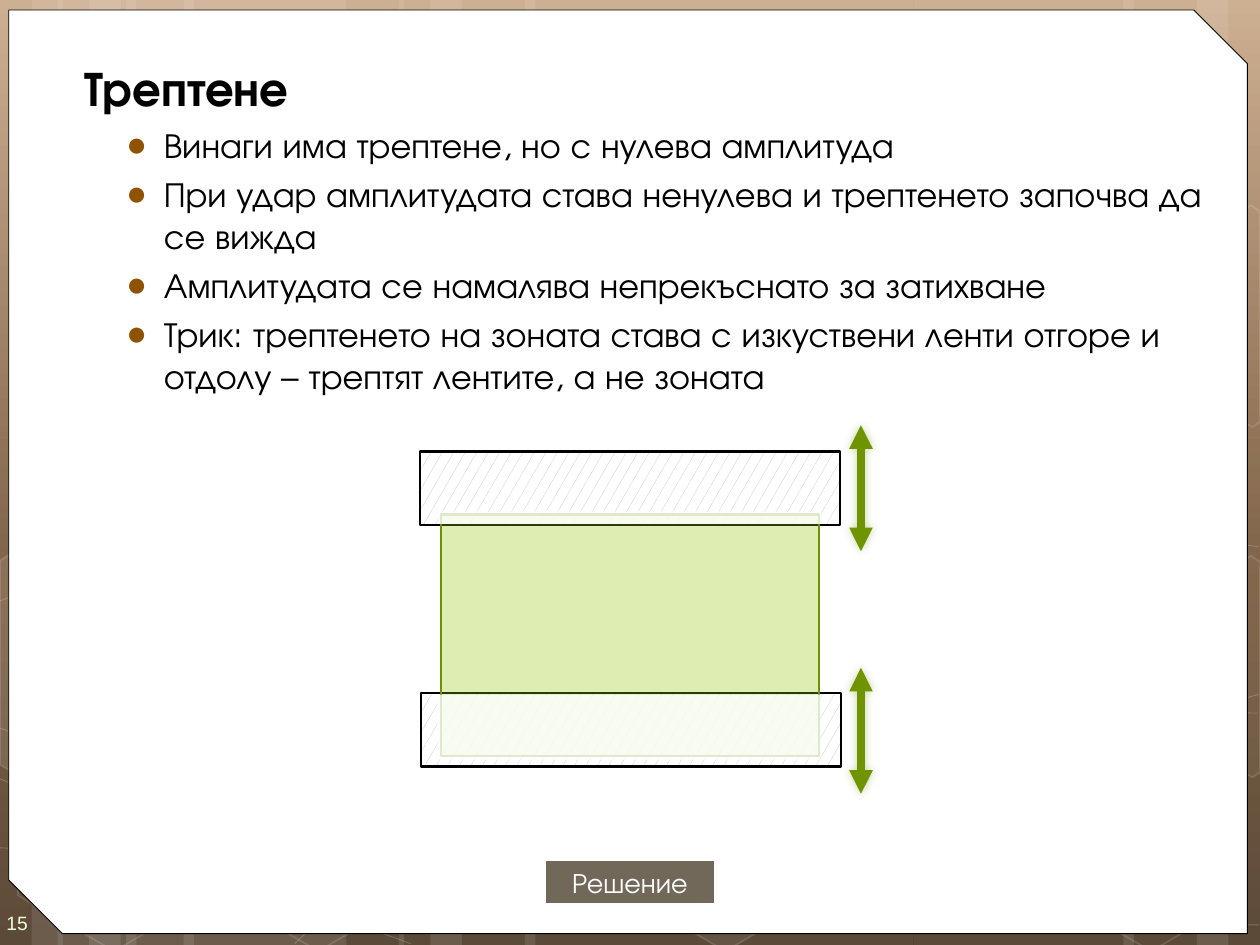
from copy import deepcopy

from lxml.etree import SubElement
from pptx import Presentation
from pptx.dml.color import RGBColor
from pptx.enum.dml import MSO_PATTERN
from pptx.enum.shapes import MSO_CONNECTOR, MSO_SHAPE
from pptx.enum.text import MSO_ANCHOR, PP_ALIGN
from pptx.oxml.ns import qn
from pptx.util import Inches, Pt

FONT = "TeX Gyre Adventor"
GREEN = "6F9400"

presentation = Presentation()
presentation.slide_width, presentation.slide_height = Inches(10), Inches(7.5)
slide = presentation.slides.add_slide(presentation.slide_layouts[1])
shapes = slide.shapes
# The slide is a grid of 120 columns by 90 rows of square cells
CELL = presentation.slide_width / 120


def set_color(color_format, color, opacity=100):
    color_format.rgb = RGBColor.from_string(color)
    if opacity < 100:
        SubElement(color_format._color._xClr, qn("a:alpha"), val=str(opacity * 1000))


def paint(shape, fill=None, opacity=100, line=None, width=1, line_opacity=100):
    """Set a plain fill and outline, either of which may be None."""
    shape.shadow.inherit = False
    if fill:
        shape.fill.solid()
        set_color(shape.fill.fore_color, fill, opacity)
    else:
        shape.fill.background()
    if line:
        set_color(shape.line.color, line, line_opacity)
        shape.line.width = Pt(width)
    else:
        shape.line.fill.background()


# Background gradient
background = slide.background.fill
background.gradient()
background.gradient_angle = 270
stop_list = slide.element.find(".//" + qn("a:gsLst"))
stop_list.append(deepcopy(stop_list[-1]))
for stop, (position, color) in zip(background.gradient_stops,
                                   [(0, "C8A685"), (0.62, "705032"), (1, "4A3622")]):
    stop.position = position
    set_color(stop.color, color)

# Pale vertical stripes: left column, width in columns
for column, width in [(12, 21), (0, 6), (3, 10), (17.5, 21), (5.5, 6), (8.5, 10),
                      (87, 21), (114, 6), (107, 10), (50, 37), (38, 6), (41, 10)]:
    stripe = shapes.add_shape(MSO_SHAPE.RECTANGLE, int(column * CELL), 0,
                              int(width * CELL), presentation.slide_height)
    paint(stripe, "FFFFFF", 10)

# Thin lines and cut hexagons at the slide's edges: points in inches, closed, fill opacity
outlines = [
    ([(0, 6.73), (1.82, 6.78), (4.5, 6.65), (7.83, 6.17), (9.99, 5.51)], False, 0),
    ([(0, 4.77), (1.13, 4.31), (3.39, 3.87), (6.46, 3.87), (9.99, 4.34)], False, 0),
    ([(0, 6.18), (1.6, 6.88), (3.26, 7.49)], False, 0),
    ([(0, 5.78), (1.2, 6.16), (3.48, 6.73), (6.2, 7.18), (8.44, 7.36), (9.99, 7.34)], False, 0),
    ([(2.34, 7.49), (2.94, 6.91), (3.79, 6.39), (6, 5.78), (7.86, 5.62), (9.98, 5.66)], False, 0),
    ([(0, 4.45), (0.11, 4.38), (0.87, 4.82), (0.87, 5.7), (0.12, 6.14), (0, 6.07)], True, 10),
    ([(9.18, 4.85), (9.93, 4.41), (10, 4.46), (10, 6.13), (9.94, 6.17), (9.17, 5.73)], True, 4),
    ([(9.18, 2.07), (9.93, 1.63), (10, 1.68), (10, 3.35), (9.94, 3.39), (9.17, 2.95)], True, 0),
]
for points, closed, opacity in outlines:
    start, *others = [(Inches(x), Inches(y)) for x, y in points]
    builder = shapes.build_freeform(*start)
    builder.add_line_segments(others, close=closed)
    paint(builder.convert_to_shape(), "FFFFFF" if opacity else None, opacity,
          "FFFFFF", 1 if closed else 0.5, 12 if closed else 20)

# Hexagons along the bottom edge
for left, opacity in [(0.03, 0), (1.65, 0), (4.88, 6), (8.26, 0)]:
    hexagon = shapes.add_shape(MSO_SHAPE.HEXAGON, Inches(left), Inches(5.91),
                               Inches(1.75), Inches(1.52))
    hexagon.adjustments[0] = 0.285
    hexagon.rotation = 30
    paint(hexagon, "FFFFFF" if opacity else None, opacity, "FFFFFF", 1, 12)

# White sheet with two cut corners
sheet = shapes.add_shape(MSO_SHAPE.SNIP_2_DIAG_RECTANGLE, Inches(0.07), Inches(0.08),
                         Inches(9.83), Inches(7.33))
sheet.adjustments[0], sheet.adjustments[1] = 0, 0.058
paint(sheet, "FFFFFF", line="000000", width=0.5)

# Slide number
number = shapes.add_textbox(0, Inches(7.1), Inches(0.58), Inches(0.4)).text_frame
number.margin_left, number.margin_right = Inches(0.05), 0
number.margin_top, number.margin_bottom = Inches(0.15), Inches(0.1)
number.vertical_anchor = MSO_ANCHOR.MIDDLE
paragraph = number.paragraphs[0]
paragraph.text = "15"
paragraph.font.size, paragraph.font.name = Pt(11), "Arial"
set_color(paragraph.font.color, "EEFFD6")

# Striped bands above and below the zone
for column, row in [(40, 43), (40.1, 66)]:
    band = shapes.add_shape(MSO_SHAPE.RECTANGLE, int(column * CELL), int(row * CELL),
                            int(40 * CELL), int(7 * CELL))
    paint(band, line="000000", width=1.25)
    band.fill.patterned()
    band.fill.pattern = MSO_PATTERN.SMALL_CONFETTI
    set_color(band.fill.fore_color, "BFBFBF")
    set_color(band.fill.back_color, "FFFFFF")

# Heading and bullets share the body placeholder
title = shapes.title._element
title.getparent().remove(title)
body = slide.placeholders[1]
shapes._spTree.append(body._element)
body.left, body.top, body.width, body.height = map(Inches, (0.5, 0.41, 9.42, 7.01))
body.text_frame.vertical_anchor = MSO_ANCHOR.TOP
lines = [
    "Трептене",
    "Винаги има трептене, но с нулева амплитуда",
    "При удар амплитудата става ненулева и трептенето започва да се вижда",
    "Амплитудата се намалява непрекъснато за затихване",
    "Трик: трептенето на зоната става с изкуствени ленти отгоре и отдолу – трептят лентите, а не зоната",
]
body.text_frame.text = "\n".join(lines)
for index, paragraph in enumerate(body.text_frame.paragraphs):
    is_heading = index == 0
    size = 28 if is_heading else 20
    paragraph.level = 0 if is_heading else 1
    paragraph.space_before = Pt(size * 0.2)
    paragraph.font.name, paragraph.font.size = FONT, Pt(size)
    paragraph.font.bold = is_heading
    set_color(paragraph.font.color, "000000")
    properties = paragraph._p.get_or_add_pPr()
    properties.set("marL", str(Inches(0.07 if is_heading else 0.7)))
    properties.set("indent", str(Inches(0 if is_heading else -0.3)))
    # Bullet elements go before the paragraph's default run properties
    bullets = []
    if is_heading:
        bullets.append(SubElement(properties, qn("a:buNone")))
    else:
        bullet_color = SubElement(properties, qn("a:buClr"))
        SubElement(bullet_color, qn("a:srgbClr"), val="8F5201")
        bullets += [bullet_color, SubElement(properties, qn("a:buFont"), typeface="Arial"),
                    SubElement(properties, qn("a:buChar"), char="●")]
    for bullet in bullets:
        properties.find(qn("a:defRPr")).addprevious(bullet)

# Button
button = shapes.add_shape(MSO_SHAPE.RECTANGLE, int(52 * CELL), int(82 * CELL),
                          int(16 * CELL), int(4 * CELL))
paint(button, "71685A")
button.text_frame.margin_left = button.text_frame.margin_right = 0
button.text_frame.vertical_anchor = MSO_ANCHOR.MIDDLE
paragraph = button.text_frame.paragraphs[0]
paragraph.text = "Решение"
paragraph.alignment = PP_ALIGN.CENTER
paragraph.font.name, paragraph.font.size = FONT, Pt(16)
set_color(paragraph.font.color, "FFFFFF")

# Zone
zone = shapes.add_shape(MSO_SHAPE.RECTANGLE, int(42 * CELL), int(49 * CELL),
                        int(36 * CELL), int(23 * CELL))
paint(zone, "94C600", 30, "6D9200", 1.25)

# Glowing arrows, one beside each band
for row in (40.5, 63.6):
    arrow = shapes.add_connector(MSO_CONNECTOR.STRAIGHT, int(82 * CELL), int(row * CELL),
                                 int(82 * CELL), int((row + 12) * CELL))
    set_color(arrow.line.color, GREEN)
    arrow.line.width = Pt(4.5)
    line = arrow.line._get_or_add_ln()
    for end in ("a:headEnd", "a:tailEnd"):
        SubElement(line, qn(end), type="triangle")
    effects = SubElement(arrow._element.spPr, qn("a:effectLst"))
    glow = SubElement(effects, qn("a:outerShdw"), blurRad=str(Pt(5)), dist="0", dir="0",
                      algn="ctr", rotWithShape="0")
    glow_color = SubElement(glow, qn("a:srgbClr"), val=GREEN)
    SubElement(glow_color, qn("a:alpha"), val="40000")

# White veils where the bands cover the zone
for column, row, height in [(41.75, 48.7, 1.2), (41.65, 66.15, 6.2)]:
    veil = shapes.add_shape(MSO_SHAPE.RECTANGLE, int(column * CELL), int(row * CELL),
                            int(36.5 * CELL), int(height * CELL))
    paint(veil, "FFFFFF", 80)

presentation.save("out.pptx")
